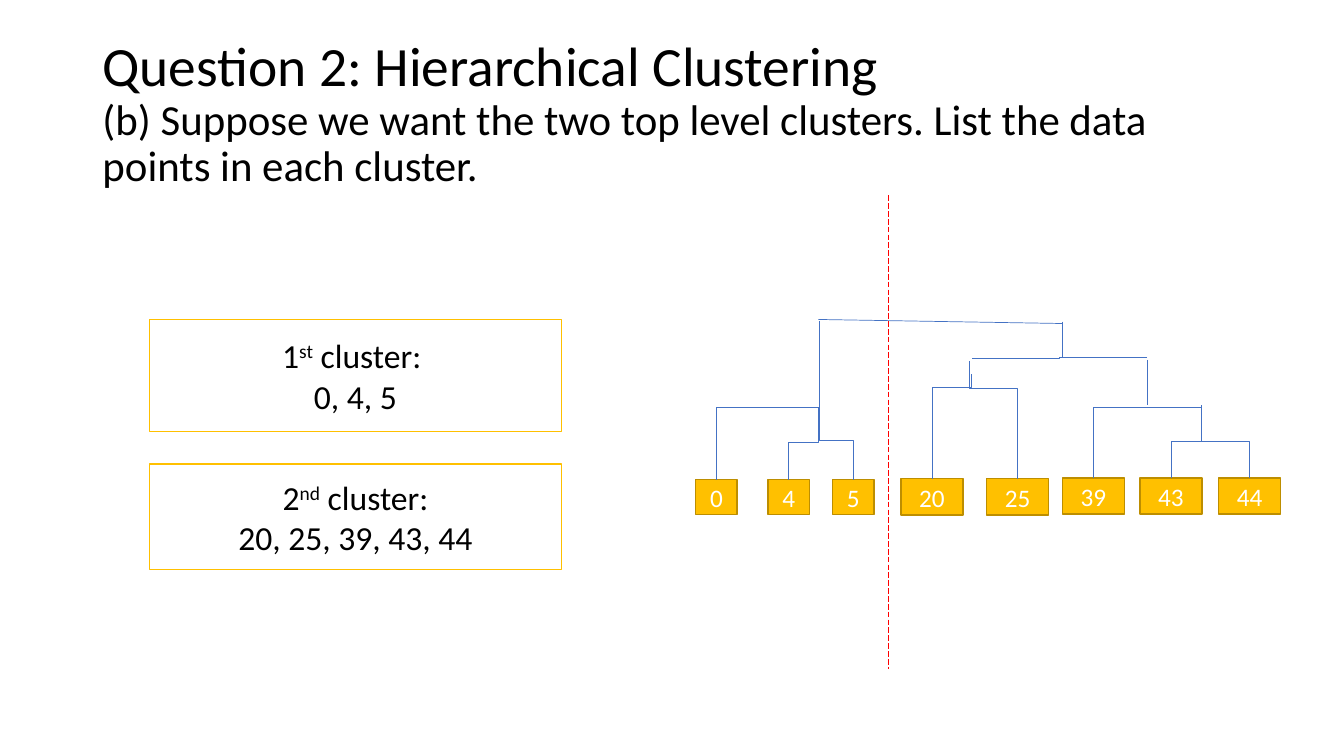
from lxml.etree import SubElement
from pptx import Presentation
from pptx.dml.color import RGBColor
from pptx.enum.dml import MSO_LINE as Dash
from pptx.enum.shapes import MSO_CONNECTOR as Link, MSO_SHAPE as Shape
from pptx.enum.text import MSO_ANCHOR as Anchor, MSO_AUTO_SIZE as AutoSize, PP_ALIGN as Align
from pptx.oxml.ns import qn
from pptx.util import Pt

BLACK = RGBColor(0x00, 0x00, 0x00)
WHITE = RGBColor(0xFF, 0xFF, 0xFF)
GOLD = RGBColor(0xFF, 0xC0, 0x00)
DARK_GOLD = RGBColor(0xBD, 0x8E, 0x00)
BLUE = RGBColor(0x44, 0x72, 0xC4)
RED = RGBColor(0xFF, 0x00, 0x00)
FONT = "Calibri"

TITLE_FRAME = dict(auto_size=AutoSize.NONE, vertical_anchor=Anchor.MIDDLE, word_wrap=True)
TITLE_PARAGRAPH = dict(alignment=Align.LEFT, line_spacing=0.9)

# Leaf groups: width, height, top, {data point: left}, relative to the tree
LEAF_GROUPS = [
    (29.5, 24.8, 114.7, {0: 0, 4: 51.6, 5: 97.7}),
    (44.2, 26, 114, {20: 146.6, 25: 207.8}),
    (44.2, 26, 113.3, {39: 261.9, 43: 317.3, 44: 373.5}),
]
# Leaf, join x, join y, share of the rise before the bend (None: single bend)
JOINS = [
    (4, 87.6, 62.9, 0.52),
    (5, 88.3, 1.7, 0.25),
    (44, 361.2, 73.7, 0.65),
    (43, 361.2, 61.4, 0.5),
    (39, 361.2, 62.9, None),
    (0, 87.6, 62.9, None),
    (20, 197.1, 39.1, 0.87),
    (25, 195.6, 29.8, 0.77),
]
# Upper branches: connector kind, start, end
BRANCHES = [
    (Link.ELBOW, (322.4, 27.3), (197.1, 28.1)),
    (Link.STRAIGHT, (322.4, 29), (322.4, 61.4)),
    (Link.STRAIGHT, (87.6, 0.2), (261.9, 3.1)),
    (Link.STRAIGHT, (261.9, 1.7), (261.9, 26.9)),
]


def apply(target, formats):
    for name, value in formats.items():
        setattr(target, name, value)


def add_run(paragraph, text, size, color):
    run = paragraph.add_run()
    run.text = text
    apply(run.font, dict(name=FONT, size=Pt(size)))
    run.font.color.rgb = color
    return run


def add_box(slide, box, fill, outline):
    rect = slide.shapes.add_shape(Shape.RECTANGLE, *map(Pt, box))
    rect.shadow.inherit = False
    rect.fill.solid()
    rect.fill.fore_color.rgb = fill
    rect.line.color.rgb = outline
    rect.line.width = Pt(1)
    rect.text_frame.vertical_anchor = Anchor.MIDDLE
    return rect.text_frame


def add_line(slide, kind, start, end, color=BLUE):
    line = slide.shapes.add_connector(kind, *map(Pt, (*start, *end)))
    line.line.color.rgb = color
    line.line.width = Pt(0.5)
    SubElement(line._element.spPr, qn("a:effectLst"))
    return line


def add_rising_elbow(slide, start, end, bend):
    """Elbow that leaves its start upwards: a level one turned by 270 degrees."""
    (x1, y1), (x2, y2) = start, end
    mid_x, mid_y = (x1 + x2) / 2, (y1 + y2) / 2
    rise, run = (y1 - y2) / 2, (x2 - x1) / 2
    elbow = add_line(slide, Link.ELBOW, (mid_x - rise, mid_y - run), (mid_x + rise, mid_y + run))
    properties = elbow._element.spPr
    properties.find(qn("a:xfrm")).set("rot", "16200000")
    geometry = properties.find(qn("a:prstGeom"))
    if bend is None:
        geometry.set("prst", "bentConnector2")
    else:
        SubElement(geometry.find(qn("a:avLst")), qn("a:gd"),
                   name="adj1", fmla=f"val {round(bend * 100000)}")


def add_title(slide, box, heading, question):
    title = slide.shapes.title
    apply(title, dict(zip(("left", "top", "width", "height"), map(Pt, box))))
    apply(title.text_frame, TITLE_FRAME)
    paragraph = title.text_frame.paragraphs[0]
    apply(paragraph, TITLE_PARAGRAPH)
    add_run(paragraph, heading, 39.6, BLACK)
    paragraph.add_line_break()
    SubElement(paragraph._p.find(qn("a:br")), qn("a:rPr"), sz="3960")
    add_run(paragraph, question, 30.6, BLACK)


def add_cluster(slide, box, number, ordinal, label, points):
    frame = add_box(slide, box, WHITE, GOLD)
    name, members = frame.paragraphs[0], frame.add_paragraph()
    name.alignment = members.alignment = Align.CENTER
    add_run(name, number, 24, BLACK)
    suffix = add_run(name, ordinal, 24, BLACK)
    suffix.font._element.set("baseline", "30000")
    add_run(name, label, 24, BLACK)
    add_run(members, points, 24, BLACK)


def add_tree(slide, left, top):
    def place(x, y):
        return left + x, top + y

    # Data points
    leaf_tops = {}
    for width, height, y, leaves in LEAF_GROUPS:
        for point, x in leaves.items():
            frame = add_box(slide, (*place(x, y), width, height), GOLD, DARK_GOLD)
            frame.paragraphs[0].alignment = Align.CENTER
            add_run(frame.paragraphs[0], str(point), 18, WHITE)
            leaf_tops[point] = place(x + width / 2, y)

    # Joins from the data points, then the branches above them
    for point, x, y, bend in JOINS:
        add_rising_elbow(slide, leaf_tops[point], place(x, y), bend)
    for kind, start, end in BRANCHES:
        add_line(slide, kind, place(*start), place(*end))


def add_cut(slide, x, top, bottom):
    cut = add_line(slide, Link.STRAIGHT, (x, top), (x, bottom), RED)
    cut.line.dash_style = Dash.LONG_DASH


def main():
    deck = Presentation()
    apply(deck, dict(slide_width=Pt(960), slide_height=Pt(540)))
    slide = deck.slides.add_slide(deck.slide_layouts[5])
    add_title(slide, (66, 30, 828, 104.4), "Question 2: Hierarchical Clustering ",
              "(b) Suppose we want the two top level clusters. "
              "List the data points in each cluster.")
    add_cluster(slide, (106.7, 228.4, 294.5, 80), "1", "st", " cluster: ", "0, 4, 5")
    add_cluster(slide, (106.7, 331.4, 294.5, 75.6), "2", "nd", " cluster:", "20, 25, 39, 43, 44")
    add_tree(slide, 497, 228)
    add_cut(slide, 634.5, 139.5, 478)
    deck.save("out.pptx")


if __name__ == "__main__":
    main()
